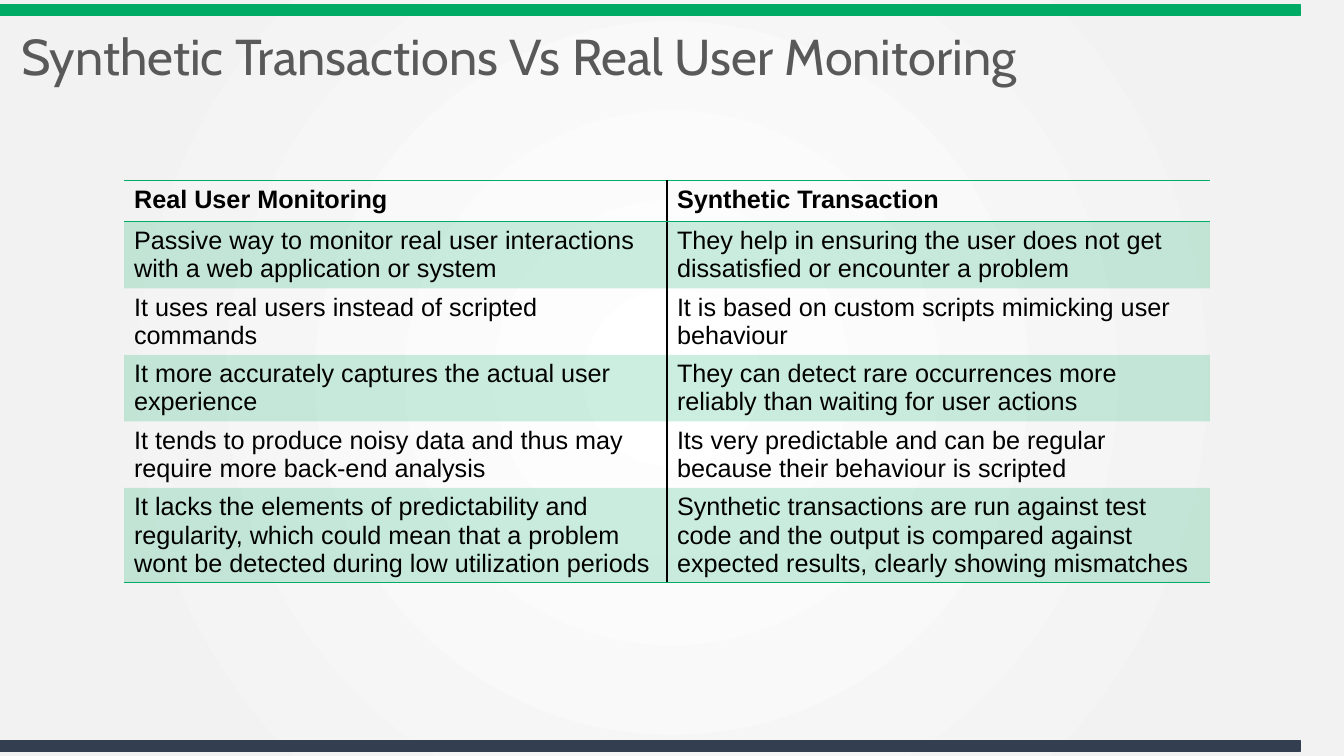
from typing import NamedTuple

from pptx import Presentation
from pptx.dml.color import RGBColor
from pptx.enum import shapes, text
from pptx.oxml import parse_xml
from pptx.oxml.ns import nsdecls, qn
from pptx.util import Inches, Pt

GREEN = RGBColor(0x00, 0xAC, 0x65)
NAVY = RGBColor(0x33, 0x3F, 0x50)
GREY = RGBColor(0x59, 0x59, 0x59)
BLACK = RGBColor(0x00, 0x00, 0x00)
PLAIN = "{2D5ABB26-0587-4C30-8999-92F81FD0307C}"


class Bar(NamedTuple):
    top: float
    color: RGBColor


class Row(NamedTuple):
    height: float
    real: str
    synth: str


BARS = [Bar(0.05, GREEN), Bar(7.35, NAVY)]
ROWS = [
    Row(0.41, "Real User Monitoring", "Synthetic Transaction"),
    Row(0.66, "Passive way to monitor real user interactions with a web application or system",
        "They help in ensuring the user does not get dissatisfied or encounter a problem"),
    Row(0.66, "It uses real users instead of scripted commands",
        "It is based on custom scripts mimicking user behaviour"),
    Row(0.66, "It more accurately captures the actual user experience",
        "They can detect rare occurrences more reliably than waiting for user actions"),
    Row(0.66, "It tends to produce noisy data and thus may require more back-end analysis",
        "Its very predictable and can be regular because their behaviour is scripted"),
    Row(0.94, "It lacks the elements of predictability and regularity, which could mean "
        "that a problem wont be detected during low utilization periods",
        "Synthetic transactions are run against test code and the output is compared "
        "against expected results, clearly showing mismatches"),
]


def style(font, color: RGBColor, **values) -> None:
    for key, value in values.items():
        setattr(font, key, value)
    font.color.rgb = color


def paint_back(slide) -> None:
    slide.background.fill.solid()
    back = slide.element.xpath(".//p:bgPr")[0]
    stops = "".join(
        f'<a:gs pos="{pos}000"><a:srgbClr val="{color}"/></a:gs>'
        for pos, color in [(0, "FFFFFF"), (81, "F2F2F2"), (100, "F2F2F2")])
    back.replace(back[0], parse_xml(
        f'<a:gradFill {nsdecls("a")} rotWithShape="1"><a:gsLst>{stops}</a:gsLst>'
        '<a:path path="circle"><a:fillToRect l="50000" t="50000" r="50000" b="50000"/>'
        '</a:path></a:gradFill>'))


def add_bar(slide, bar: Bar) -> None:
    shape = slide.shapes.add_shape(
        shapes.MSO_SHAPE.RECTANGLE, 0, Inches(bar.top), Inches(12.9), Inches(0.1))
    shape.shadow.inherit = False
    shape.fill.solid()
    shape.fill.fore_color.rgb = bar.color
    shape.line.color.rgb = bar.color
    shape.line.width = Pt(1)


def set_title(slide, words: str) -> None:
    title = slide.shapes.title
    place = dict(left=0.11, top=0.19, width=11.7, height=0.8)
    for key, value in place.items():
        setattr(title, key, Inches(value))
    frame = title.text_frame
    frame.text = words
    frame.word_wrap = True
    frame.vertical_anchor = text.MSO_ANCHOR.MIDDLE
    para = frame.paragraphs[0]
    para.alignment = text.PP_ALIGN.LEFT
    para.line_spacing = 0.9
    style(para.runs[0].font, GREY, name="Cabin", size=Pt(36))


def set_edges(cell, edges: dict[str, RGBColor]) -> None:
    """Add 1 pt borders, keyed by side in the order L, R, T, B."""
    props = cell._tc.get_or_add_tcPr()
    for i, (side, color) in enumerate(edges.items()):
        props.insert(i, parse_xml(
            f'<a:ln{side} {nsdecls("a")} w="12700"><a:solidFill>'
            f'<a:srgbClr val="{color}"/></a:solidFill></a:ln{side}>'))


def fill_cell(cell, words: str, row: int, col: int) -> None:
    cell.text = words
    style(cell.text_frame.paragraphs[0].runs[0].font, BLACK,
          name="Arial", size=Pt(18), bold=row == 0)
    if row % 2:
        cell.fill.solid()
        cell.fill.fore_color.rgb = GREEN
        tint = cell._tc.tcPr.find(".//" + qn("a:srgbClr"))
        tint.append(parse_xml(f'<a:alpha {nsdecls("a")} val="20000"/>'))
    else:
        cell.fill.background()
    edges = {"L" if col else "R": BLACK}
    if row == 0:
        edges["T"] = GREEN
    if row in (0, len(ROWS) - 1):
        edges["B"] = GREEN
    set_edges(cell, edges)


def add_grid(slide) -> None:
    high = sum(row.height for row in ROWS)
    table = slide.shapes.add_table(
        len(ROWS), 2, Inches(1.23), Inches(1.79), Inches(10.77), Inches(high)).table
    table.horz_banding = False
    table._tbl.tblPr.find(qn("a:tableStyleId")).text = PLAIN
    for i, row in enumerate(ROWS):
        table.rows[i].height = Inches(row.height)
        for j, words in enumerate((row.real, row.synth)):
            fill_cell(table.cell(i, j), words, i, j)


def main() -> None:
    deck = Presentation()
    deck.slide_width, deck.slide_height = Inches(13.33), Inches(7.5)
    slide = deck.slides.add_slide(deck.slide_layouts[5])
    paint_back(slide)
    for bar in BARS:
        add_bar(slide, bar)
    set_title(slide, "Synthetic Transactions Vs Real User Monitoring")
    add_grid(slide)
    deck.save("out.pptx")


if __name__ == "__main__":
    main()
